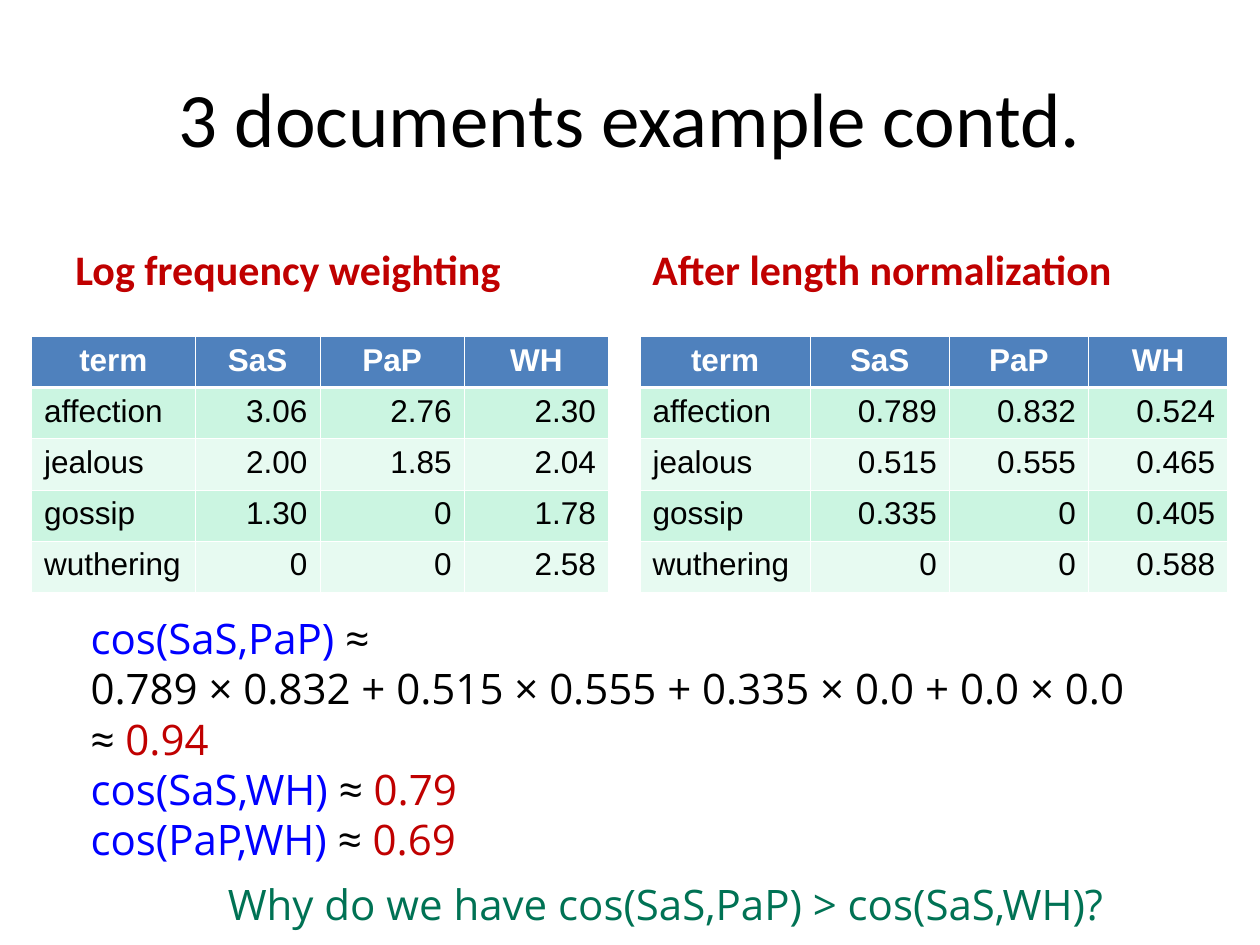
from pptx import Presentation
from pptx.dml.color import RGBColor
from pptx.enum.text import MSO_ANCHOR, MSO_AUTO_SIZE, PP_ALIGN
from pptx.oxml import parse_xml
from pptx.oxml.ns import nsdecls
from pptx.util import Inches, Pt

SLIDE_WIDTH, SLIDE_HEIGHT = Inches(10), Inches(7.5)
COLUMN, ROW = SLIDE_WIDTH // 100, SLIDE_HEIGHT // 75

BLACK = RGBColor(0x00, 0x00, 0x00)
WHITE = RGBColor(0xFF, 0xFF, 0xFF)
RED = RGBColor(0xC0, 0x00, 0x00)
BLUE = RGBColor(0x00, 0x00, 0xFF)
GREEN = RGBColor(0x00, 0x72, 0x54)
HEADER_BLUE = RGBColor(0x4F, 0x81, 0xBD)
MINT = RGBColor(0xCB, 0xF5, 0xE1)
PALE_MINT = RGBColor(0xE7, 0xFA, 0xF1)

HEADER = ["term", "SaS", "PaP", "WH"]
TERMS = ["affection", "jealous", "gossip", "wuthering"]
TABLE_TOP, TABLE_ROW_HEIGHT = 26.7, 4.06
THIN, THICK = Pt(0.45), Pt(1.47)

PANELS = [
    ("Log frequency weighting", 5, 2.5, [13, 9.9, 11.45, 11.45],
     ["3.06 2.76 2.30", "2.00 1.85 2.04", "1.30 0 1.78", "0 0 2.58"]),
    ("After length normalization", 50.8, 50.8, [13.5, 11.05, 11.05, 11.05],
     ["0.789 0.832 0.524", "0.515 0.555 0.465", "0.335 0 0.405", "0 0 0.588"]),
]

SIMILARITIES = [
    [("cos(SaS,PaP) ", BLUE), ("≈", BLACK)],
    [("0.789 × 0.832 + 0.515 × 0.555 + 0.335 × 0.0 + 0.0 × 0.0", BLACK)],
    [("≈ ", BLACK), ("0.94", RED)],
    [("cos(SaS,WH)", BLUE), (" ≈ ", BLACK), ("0.79", RED)],
    [("cos(PaP,WH) ", BLUE), ("≈ ", BLACK), ("0.69", RED)],
]


def style(font, name, size, color, bold=False):
    font.name = name
    font.size = Pt(size)
    font.color.rgb = color
    font.bold = bold


def add_box(page, left, top, width, height):
    return page.shapes.add_textbox(
        round(left * COLUMN), round(top * ROW),
        round(width * COLUMN), round(height * ROW))


def add_heading(page, area, text, size, color, anchor, align, bold=False):
    frame = add_box(page, *area).text_frame
    frame.word_wrap = True
    frame.vertical_anchor = anchor
    frame.text = text
    para = frame.paragraphs[0]
    para.alignment = align
    style(para.runs[0].font, "Calibri", size, color, bold)


def add_formulas(page, area, lines):
    frame = add_box(page, *area).text_frame
    frame.word_wrap = False
    frame.auto_size = MSO_AUTO_SIZE.SHAPE_TO_FIT_TEXT
    for index, line in enumerate(lines):
        para = frame.add_paragraph() if index else frame.paragraphs[0]
        for text, color in line:
            span = para.add_run()
            span.text = text
            style(span.font, "Open Sans", 24, color)


def add_borders(cell, row):
    top = THICK if row == 1 else THIN
    bottom = THICK if row == 0 else THIN
    properties = cell._tc.get_or_add_tcPr()
    for side, width in (("L", THIN), ("R", THIN), ("T", top), ("B", bottom)):
        properties.append(parse_xml(
            f'<a:ln{side} {nsdecls("a")} w="{width}"><a:solidFill>'
            f'<a:srgbClr val="{WHITE}"/></a:solidFill></a:ln{side}>'))


def fill_cell(cell, text, row, column):
    add_borders(cell, row)
    cell.fill.solid()
    cell.text = text
    para = cell.text_frame.paragraphs[0]
    if row == 0:
        cell.fill.fore_color.rgb = HEADER_BLUE
        para.alignment = PP_ALIGN.CENTER
    else:
        cell.fill.fore_color.rgb = MINT if row % 2 else PALE_MINT
        para.alignment = PP_ALIGN.RIGHT if column else PP_ALIGN.LEFT
    style(para.runs[0].font, "Arial", 18, BLACK if row else WHITE, row == 0)


def add_weights_table(page, left, widths, weights):
    rows = [HEADER] + [[term, *line.split()] for term, line in zip(TERMS, weights)]
    row_height = round(TABLE_ROW_HEIGHT * ROW)
    table = page.shapes.add_table(
        len(rows), len(widths), round(left * COLUMN), round(TABLE_TOP * ROW),
        round(sum(widths) * COLUMN), row_height * len(rows)).table
    table.horz_banding = False
    for column, width in zip(table.columns, widths):
        column.width = round(width * COLUMN)
    for row, texts in enumerate(rows):
        table.rows[row].height = row_height
        for column, text in enumerate(texts):
            fill_cell(table.cell(row, column), text, row, column)


def main():
    deck = Presentation()
    deck.slide_width, deck.slide_height = SLIDE_WIDTH, SLIDE_HEIGHT
    page = deck.slides.add_slide(deck.slide_layouts[6])
    add_heading(page, (5, 3, 90, 12.5), "3 documents example contd.",
                44, BLACK, MSO_ANCHOR.MIDDLE, PP_ALIGN.CENTER)
    for heading, heading_left, table_left, widths, weights in PANELS:
        add_heading(page, (heading_left, 16.8, 44.2, 7), heading,
                    24, RED, MSO_ANCHOR.BOTTOM, PP_ALIGN.LEFT, bold=True)
        add_weights_table(page, table_left, widths, weights)
    add_formulas(page, (6.2, 48.1, 84.2, 21), SIMILARITIES)
    add_formulas(page, (17.1, 69.2, 72.2, 5),
                 [[("Why do we have cos(SaS,PaP) > cos(SaS,WH)?", GREEN)]])
    deck.save("out.pptx")


if __name__ == "__main__":
    main()
